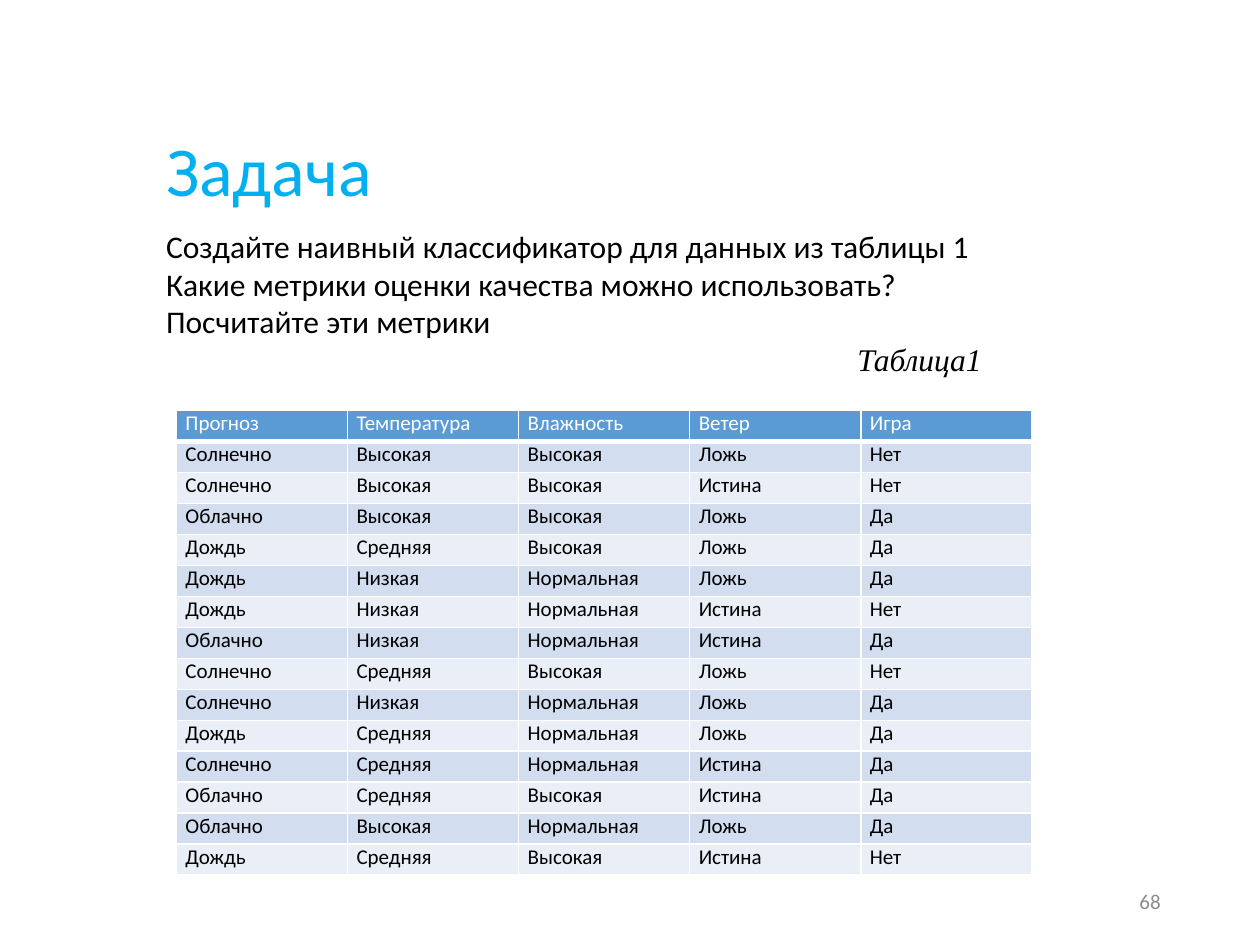
from dataclasses import dataclass

from lxml import etree
from pptx import Presentation
from pptx.dml import color
from pptx.enum import text
from pptx.oxml import ns
from pptx.util import Pt


@dataclass(frozen=True)
class Theme:
    sans: str = "Calibri"
    serif: str = "Times New Roman"
    title: str = "00B0F0"
    ink: str = "000000"
    muted: str = "8C8C8C"
    white: str = "FFFFFF"
    header: str = "5B9BD5"
    bands: tuple[str, str] = ("D2DEEF", "EAEFF7")
    title_size: float = 40
    body_size: float = 18
    small_size: float = 12


@dataclass(frozen=True)
class Box:
    left: float
    top: float
    width: float
    height: float

    def lengths(self) -> tuple[Pt, Pt, Pt, Pt]:
        return Pt(self.left), Pt(self.top), Pt(self.width), Pt(self.height)


@dataclass(frozen=True)
class Line:
    words: str
    size: float
    ink: str
    font: str = "Calibri"
    italic: bool = False
    align: text.PP_ALIGN = text.PP_ALIGN.LEFT


THEME = Theme()

TITLE_BOX = Box(87.84, 59.76, 519.12, 79.2)
BODY_BOX = Box(87.84, 126, 480.24, 94.32)
NUMBER_BOX = Box(508.32, 500.4, 162, 28.8)
TABLE_BOX = Box(100.8, 234.72, 488.88, 265.68)

TASK = (
    "Создайте наивный классификатор для данных из таблицы 1",
    "Какие метрики оценки качества можно использовать?",
    "Посчитайте эти метрики",
)

WEATHER = (
    ("Прогноз", "Температура", "Влажность", "Ветер", "Игра"),
    ("Солнечно", "Высокая", "Высокая", "Ложь", "Нет"),
    ("Солнечно", "Высокая", "Высокая", "Истина", "Нет"),
    ("Облачно", "Высокая", "Высокая", "Ложь", "Да"),
    ("Дождь", "Средняя", "Высокая", "Ложь", "Да"),
    ("Дождь", "Низкая", "Нормальная", "Ложь", "Да"),
    ("Дождь", "Низкая", "Нормальная", "Истина", "Нет"),
    ("Облачно", "Низкая", "Нормальная", "Истина", "Да"),
    ("Солнечно", "Средняя", "Высокая", "Ложь", "Нет"),
    ("Солнечно", "Низкая", "Нормальная", "Ложь", "Да"),
    ("Дождь", "Средняя", "Нормальная", "Ложь", "Да"),
    ("Солнечно", "Средняя", "Нормальная", "Истина", "Да"),
    ("Облачно", "Средняя", "Высокая", "Истина", "Да"),
    ("Облачно", "Высокая", "Нормальная", "Ложь", "Да"),
    ("Дождь", "Средняя", "Высокая", "Истина", "Нет"),
)


def write_lines(frame, lines: list[Line]) -> None:
    for index, line in enumerate(lines):
        paragraph = frame.add_paragraph() if index else frame.paragraphs[0]
        paragraph.alignment = line.align
        run = paragraph.add_run()
        run.text = line.words
        run.font.name = line.font
        run.font.size = Pt(line.size)
        run.font.bold = False
        run.font.italic = line.italic
        run.font.color.rgb = color.RGBColor.from_string(line.ink)


def add_text(slide, box: Box, lines: list[Line], anchor=text.MSO_ANCHOR.TOP) -> None:
    frame = slide.shapes.add_textbox(*box.lengths()).text_frame
    frame.word_wrap = True
    frame.vertical_anchor = anchor
    write_lines(frame, lines)


def add_title(slide, words: str) -> None:
    shape = slide.shapes.title
    shape.left, shape.top, shape.width, shape.height = TITLE_BOX.lengths()
    frame = shape.text_frame
    frame.vertical_anchor = text.MSO_ANCHOR.MIDDLE
    write_lines(frame, [Line(words, THEME.title_size, THEME.title)])
    frame.paragraphs[0].line_spacing = 0.9


def set_borders(cell, bottom: float) -> None:
    properties = cell._tc.get_or_add_tcPr()
    for side, width in (("L", 1), ("R", 1), ("T", 1), ("B", bottom)):
        border = etree.SubElement(properties, ns.qn(f"a:ln{side}"), w=str(Pt(width)))
        fill = etree.SubElement(border, ns.qn("a:solidFill"))
        etree.SubElement(fill, ns.qn("a:srgbClr"), val=THEME.white)


def add_weather_table(slide) -> None:
    rows, columns = len(WEATHER), len(WEATHER[0])
    table = slide.shapes.add_table(rows, columns, *TABLE_BOX.lengths()).table
    for column in table.columns:
        column.width = Pt(TABLE_BOX.width / columns)
    for index, (row, values) in enumerate(zip(table.rows, WEATHER)):
        row.height = Pt(TABLE_BOX.height / rows)
        is_header = index == 0
        fill = THEME.header if is_header else THEME.bands[(index - 1) % 2]
        ink = THEME.white if is_header else THEME.ink
        for cell, value in zip(row.cells, values):
            cell.margin_left = cell.margin_right = Pt(5.2)
            cell.margin_top = cell.margin_bottom = Pt(0)
            set_borders(cell, bottom=3 if is_header else 1)
            cell.fill.solid()
            cell.fill.fore_color.rgb = color.RGBColor.from_string(fill)
            write_lines(cell.text_frame, [Line(value, THEME.small_size, ink)])


def main() -> None:
    presentation = Presentation()
    presentation.slide_width, presentation.slide_height = Pt(720), Pt(540)
    slide = presentation.slides.add_slide(presentation.slide_layouts.get_by_name("Title Only"))

    # Title and slide number
    add_title(slide, "Задача")
    right = text.PP_ALIGN.RIGHT
    number = Line("68", THEME.small_size, THEME.muted, align=right)
    add_text(slide, NUMBER_BOX, [number], text.MSO_ANCHOR.MIDDLE)

    # Weather data
    add_weather_table(slide)

    # Task and table caption
    task = [Line(words, THEME.body_size, THEME.ink) for words in TASK]
    caption = Line("Таблица1", THEME.body_size, THEME.ink, THEME.serif, True, right)
    add_text(slide, BODY_BOX, [*task, caption])

    presentation.save("out.pptx")


if __name__ == "__main__":
    main()
